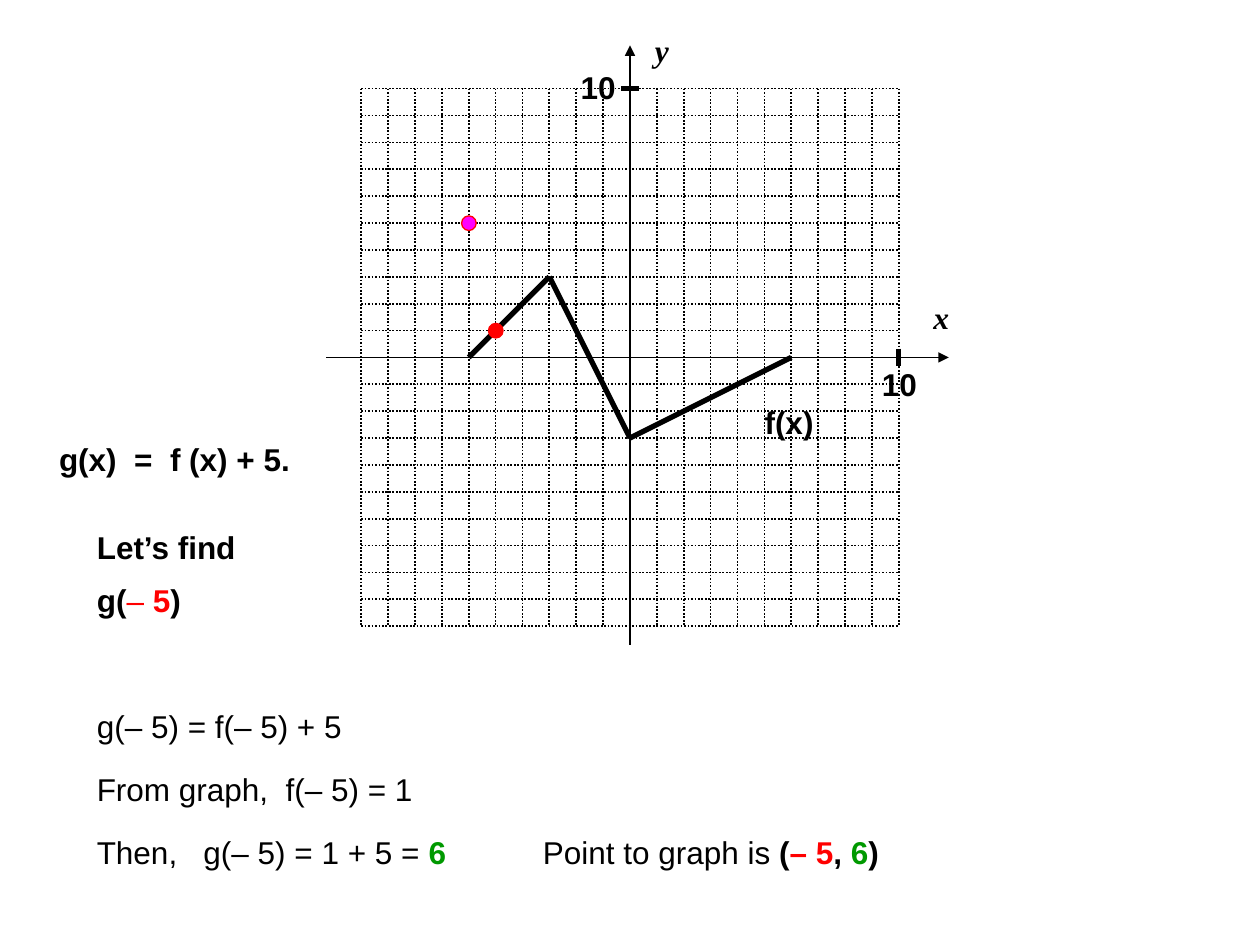
from lxml import etree
from pptx import Presentation
from pptx import util as u
from pptx.dml.color import RGBColor
from pptx.enum import dml, shapes, text
from pptx.oxml.ns import qn

PX = 3048  # EMU per px, 300 px to the inch
BLACK, RED, GREEN, MAGENTA = "000000", "FF0000", "009900", "FF00FF"
CELL = 64
ORIGIN_X, ORIGIN_Y = 1500, 851


def rgb(value):
    return RGBColor.from_string(value)


def px(*lengths):
    return [u.Emu(length * PX) for length in lengths]


def at(x, y):
    """Slide position in px of a point on the graph."""
    return ORIGIN_X + x * CELL, ORIGIN_Y - y * CELL


def write(p, content, color=BLACK, bold=False, italic=False, font="Arial", size=18):
    r = p.add_run()
    r.text = content
    r.font.name, r.font.size = font, u.Pt(size)
    r.font.bold, r.font.italic = bold, italic
    r.font.color.rgb = rgb(color)


class GraphSlide:
    """The current slide and the style of its elements."""

    text_height = 120
    dot_size = 35

    def __init__(self, prs):
        self.shapes = prs.slides.add_slide(prs.slide_layouts[6]).shapes

    def group(self):
        return self.shapes.add_group_shape().shapes

    def line(self, start, end, width, dotted=False, arrow=False, parent=None):
        """Draw a line; an arrow has its tip at the start."""
        sp = (parent or self.shapes).add_connector(
            shapes.MSO_CONNECTOR.STRAIGHT, *px(*start, *end))
        sp.line.color.rgb = rgb(BLACK)
        sp.line.width = u.Pt(width)
        if dotted:
            sp.line.dash_style = dml.MSO_LINE.ROUND_DOT
        props = sp._element.spPr
        if arrow:
            etree.SubElement(props.find(qn("a:ln")), qn("a:headEnd"), type="triangle")
        etree.SubElement(props, qn("a:effectLst"))

    def dot(self, center, fill):
        x, y = center
        d = self.dot_size
        sp = self.shapes.add_shape(
            shapes.MSO_SHAPE.OVAL, *px(x - d // 2, y - d // 2, d, d))
        sp.shadow.inherit = False
        sp.fill.solid()
        sp.fill.fore_color.rgb = rgb(fill)
        sp.line.color.rgb = rgb(RED)
        sp.line.width = u.Pt(0.75)

    def label(self, left, top, width, *runs, **style):
        """Add one line of text; each run is (text, changes to the style)."""
        sp = self.shapes.add_textbox(*px(left, top, width, self.text_height))
        tf = sp.text_frame
        tf.word_wrap = False
        tf.auto_size = text.MSO_AUTO_SIZE.SHAPE_TO_FIT_TEXT
        for content, changes in runs:
            write(tf.paragraphs[0], content, **{**style, **changes})


def draw_graph(s):
    axis_name = dict(font="Times New Roman", bold=True, italic=True)
    s.label(1530, 60, 98, ("y", {}), **axis_name)

    curve = s.group()
    points = [(-6, 0), (-3, 3), (0, -3), (6, 0)]
    for start, end in zip(points, points[1:]):
        s.line(at(*start), at(*end), 3, parent=curve)

    grid = s.group()
    for n in range(-10, 11):
        s.line(at(n, 10), at(n, -10), 1, dotted=True, parent=grid)
    for n in range(-10, 11):
        s.line(at(-10, n), at(10, n), 1, dotted=True, parent=grid)

    s.line((ORIGIN_X, 108), (ORIGIN_X, 1536), 0.75, arrow=True)
    s.line((2259, ORIGIN_Y), (777, ORIGIN_Y), 0.75, arrow=True)
    s.label(2193, 696, 102, ("x", {}), **axis_name)

    tick = 21
    x, y = at(10, 0)
    s.label(2070, 855, 150, ("10", {}), bold=True)
    s.line((x, y - tick), (x, y + tick), 3)
    x, y = at(0, 10)
    s.label(1353, 147, 150, ("10", {}), bold=True)
    s.line((x - tick, y), (x + tick, y), 3)

    s.dot(at(-5, 1), RED)
    s.dot(at(-6, 5), MAGENTA)
    s.label(1791, 945, 184, ("f(x)", {}), bold=True)


def write_solution(s):
    left = 201
    red, green = dict(color=RED), dict(color=GREEN, bold=True)
    s.label(111, 1032, 620, ("g(x)  =  f (x) + 5.", {}), bold=True)
    s.label(left, 1242, 400, ("Let’s find", {}), bold=True)
    s.label(left, 1368, 268, ("g(", {}), ("– ", dict(color=RED, bold=False)),
            ("5", red), (")", {}), bold=True)

    steps = [
        (652, [("g(– 5) = f(– 5) + 5", {})]),
        (822, [("From graph,  f(– 5) = 1", {})]),
        (900, [("Then,   g(– 5) = 1 + 5 = ", {}), ("6", green)]),
    ]
    for row, (width, runs) in enumerate(steps):
        s.label(left, 1668 + 150 * row, width, *runs)
    s.label(1263, 1968, 870, ("Point to graph is ", dict(bold=False)), ("(", {}),
            ("– 5", red), (", ", {}), ("6", green), (")", {}), bold=True)


def main():
    prs = Presentation()
    prs.slide_width, prs.slide_height = px(3000, 2250)
    s = GraphSlide(prs)
    draw_graph(s)
    write_solution(s)
    prs.save("out.pptx")


if __name__ == "__main__":
    main()
